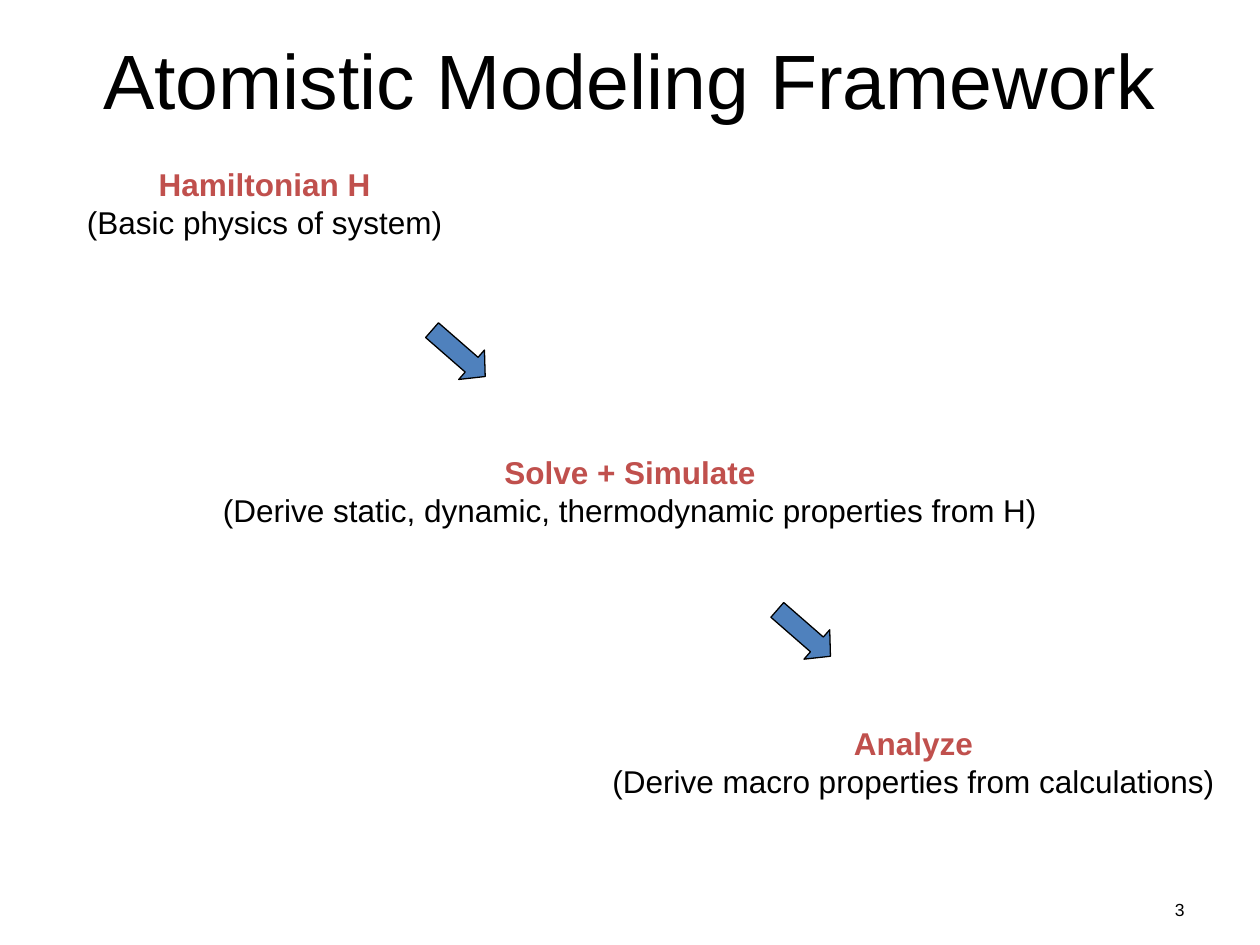
from pptx import Presentation
from pptx import util as u
from pptx.dml.color import RGBColor
from pptx.enum import shapes, text

COLORS = {"text": "000000", "accent": "C0504D", "arrow": "4F81BD"}
FONT = "Arial"


class SlideBuilder:
    def __init__(self, prs):
        self.slide = prs.slides.add_slide(prs.slide_layouts[5])

    def style(self, p, size, color="text", bold=False, align=text.PP_ALIGN.CENTER):
        p.alignment = align
        p.font.name = FONT
        p.font.size = u.Pt(size)
        p.font.bold = bold
        p.font.color.rgb = RGBColor.from_string(COLORS[color])

    def title(self, words, x, y, w, h):
        sp = self.slide.shapes.title
        sp.left, sp.top, sp.width, sp.height = map(u.Inches, (x, y, w, h))
        tf = sp.text_frame
        tf.text = words
        tf.vertical_anchor = text.MSO_ANCHOR.MIDDLE
        self.style(tf.paragraphs[0], 44)

    def stage(self, heading, detail, x, y, w, h=0.7):
        """Add a bold step name with its explanation below."""
        sp = self.slide.shapes.add_textbox(*map(u.Inches, (x, y, w, h)))
        tf = sp.text_frame
        tf.word_wrap = False
        tf.auto_size = text.MSO_AUTO_SIZE.SHAPE_TO_FIT_TEXT
        tf.text = heading
        self.style(tf.paragraphs[0], 18, "accent", bold=True)
        p = tf.add_paragraph()
        p.text = detail
        self.style(p, 18)

    def arrow(self, x, y, w=0.56, h=0.31):
        sp = self.slide.shapes.add_shape(
            shapes.MSO_SHAPE.RIGHT_ARROW, *map(u.Inches, (x, y, w, h)))
        sp.rotation = 41.1
        sp.adjustments[1] = 0.46
        sp.shadow.inherit = False
        sp.fill.solid()
        sp.fill.fore_color.rgb = RGBColor.from_string(COLORS["arrow"])
        sp.line.color.rgb = RGBColor.from_string(COLORS["text"])
        sp.line.width = u.Pt(0.75)

    def page_number(self, number, x, y, w, h):
        sp = self.slide.shapes.add_textbox(*map(u.Inches, (x, y, w, h)))
        tf = sp.text_frame
        tf.word_wrap = True
        tf.vertical_anchor = text.MSO_ANCHOR.BOTTOM
        tf.text = str(number)
        self.style(tf.paragraphs[0], 10, align=text.PP_ALIGN.RIGHT)


def main():
    prs = Presentation()
    prs.slide_width, prs.slide_height = u.Inches(10), u.Inches(7.5)
    s = SlideBuilder(prs)
    s.page_number(3, 7.17, 6.95, 2.33, 0.4)
    s.title("Atomistic Modeling Framework", 0.5, 0, 9, 1.25)
    s.stage("Hamiltonian H", "(Basic physics of system)", 0.59, 1.26, 3.02)
    s.stage("Solve + Simulate",
            "(Derive static, dynamic, thermodynamic properties from H)",
            1.67, 3.55, 6.66)
    s.stage("Analyze", "(Derive macro properties from calculations)",
            4.76, 5.7, 4.98)
    s.arrow(3.36, 2.65)
    s.arrow(6.1, 4.87)
    prs.save("out.pptx")


if __name__ == "__main__":
    main()
